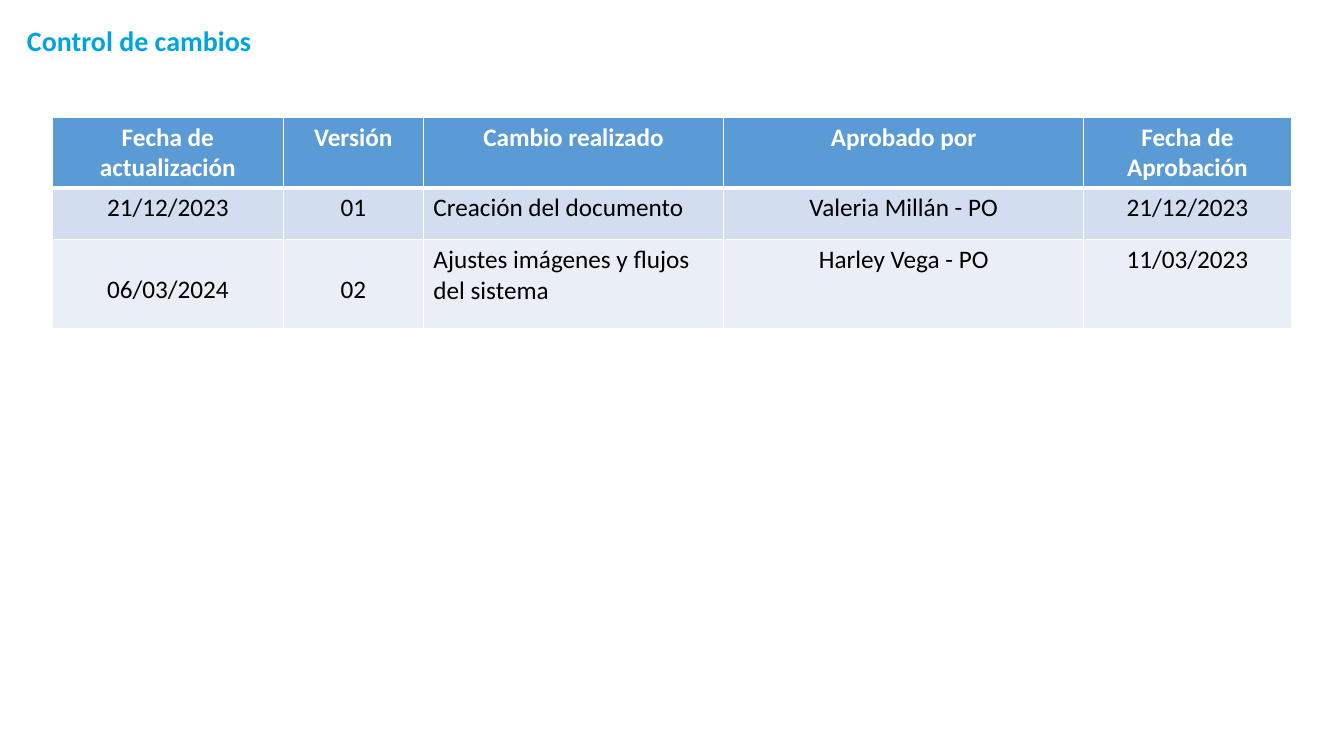
from lxml import etree
from pptx import Presentation
from pptx.dml.color import RGBColor
from pptx.enum.text import MSO_AUTO_SIZE, PP_ALIGN
from pptx.oxml.ns import qn
from pptx.util import Cm, Pt

LEFT, CENTER = PP_ALIGN.LEFT, PP_ALIGN.CENTER
FIT_SHAPE = MSO_AUTO_SIZE.SHAPE_TO_FIT_TEXT

COLORS = {
    "title": "00A4E4",
    "header": "5B9BD5",
    "band_dark": "D2DEEF",
    "band_light": "EAEFF7",
    "white": "FFFFFF",
    "black": "000000",
}
TITLE_FONT = {"name": "Calibri", "size": Pt(20), "bold": True}
HEADER_FONT = {"name": "Calibri", "size": Pt(18), "bold": True}
BODY_FONT = {"name": "Calibri", "size": Pt(18), "bold": False}

COL_WIDTHS = [5.82, 3.53, 7.57, 9.07, 5.23]
ROW_HEIGHTS = [1.76, 1.3, 2.24]
ROWS = [
    ["Fecha de actualización", "Versión", "Cambio realizado",
     "Aprobado por", "Fecha de Aprobación"],
    ["21/12/2023", "01", "Creación del documento",
     "Valeria Millán - PO", "21/12/2023"],
    ["06/03/2024", "02", "Ajustes imágenes y flujos del sistema",
     "Harley Vega - PO", "11/03/2023"],
]
ROW_FILLS = ["header", "band_dark", "band_light"]
CHANGE_COL = 2
LOWERED_CELLS = {(2, 0), (2, 1)}  # text starts on the second line


def rgb(name):
    return RGBColor.from_string(COLORS[name])


def write_text(tf, text, fmt, color, align=LEFT):
    p = tf.paragraphs[0]
    p.alignment = align
    r = p.add_run()
    r.text = text
    for key, value in fmt.items():
        setattr(r.font, key, value)
    r.font.color.rgb = rgb(color)


def add_title(s, text):
    sp = s.shapes.add_textbox(Cm(0.43), Cm(0.48), Cm(22.05), Cm(1.12))
    tf = sp.text_frame
    tf.word_wrap = True
    tf.auto_size = FIT_SHAPE
    write_text(tf, text, TITLE_FONT, "title")


def set_borders(cell, bottom):
    tcPr = cell._tc.get_or_add_tcPr()
    for side, width in (("L", 1), ("R", 1), ("T", 1), ("B", bottom)):
        ln = etree.SubElement(tcPr, qn(f"a:ln{side}"), w=str(Pt(width)))
        fill = etree.SubElement(ln, qn("a:solidFill"))
        etree.SubElement(fill, qn("a:srgbClr"), val=COLORS["white"])


def add_changes_table(s):
    frame = s.shapes.add_table(
        len(ROWS), len(COL_WIDTHS), Cm(1.32), Cm(2.95),
        Cm(sum(COL_WIDTHS)), Cm(sum(ROW_HEIGHTS)))
    table = frame.table
    for column, width in zip(table.columns, COL_WIDTHS):
        column.width = Cm(width)
    for i, texts in enumerate(ROWS):
        table.rows[i].height = Cm(ROW_HEIGHTS[i])
        header = i == 0
        fmt, color = (HEADER_FONT, "white") if header else (BODY_FONT, "black")
        for j, text in enumerate(texts):
            cell = table.cell(i, j)
            # The header rule is thick on both sides of the shared edge
            set_borders(cell, 3 if header else 1)
            cell.fill.solid()
            cell.fill.fore_color.rgb = rgb(ROW_FILLS[i])
            if (i, j) in LOWERED_CELLS:
                cell.margin_top = Cm(0.9)
            align = LEFT if j == CHANGE_COL and not header else CENTER
            write_text(cell.text_frame, text, fmt, color, align)
    # Row below the header shares its thick rule
    for cell in table.rows[1].cells:
        cell._tc.tcPr.find(qn("a:lnT")).set("w", str(Pt(3)))


def main():
    prs = Presentation()
    prs.slide_width, prs.slide_height = Cm(33.87), Cm(19.05)
    s = prs.slides.add_slide(prs.slide_layouts[6])
    add_title(s, "Control de cambios")
    add_changes_table(s)
    prs.save("out.pptx")


if __name__ == "__main__":
    main()
